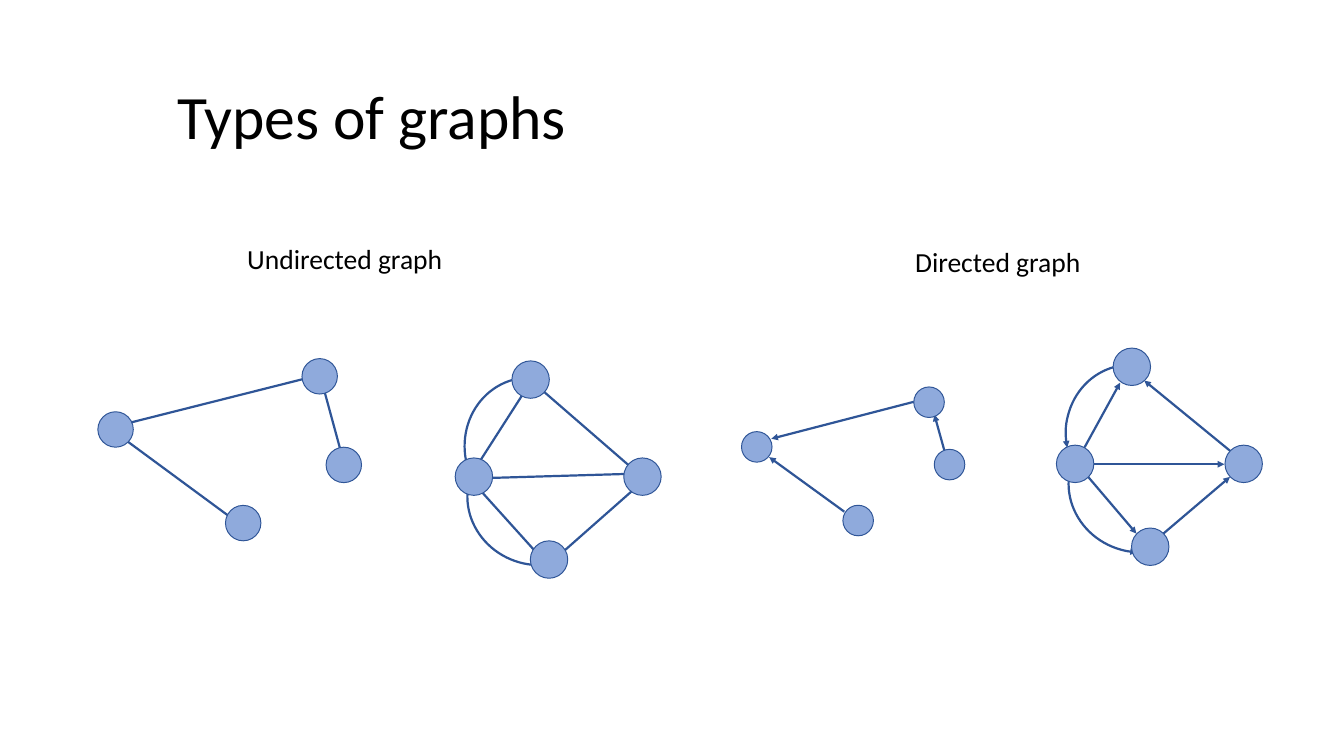
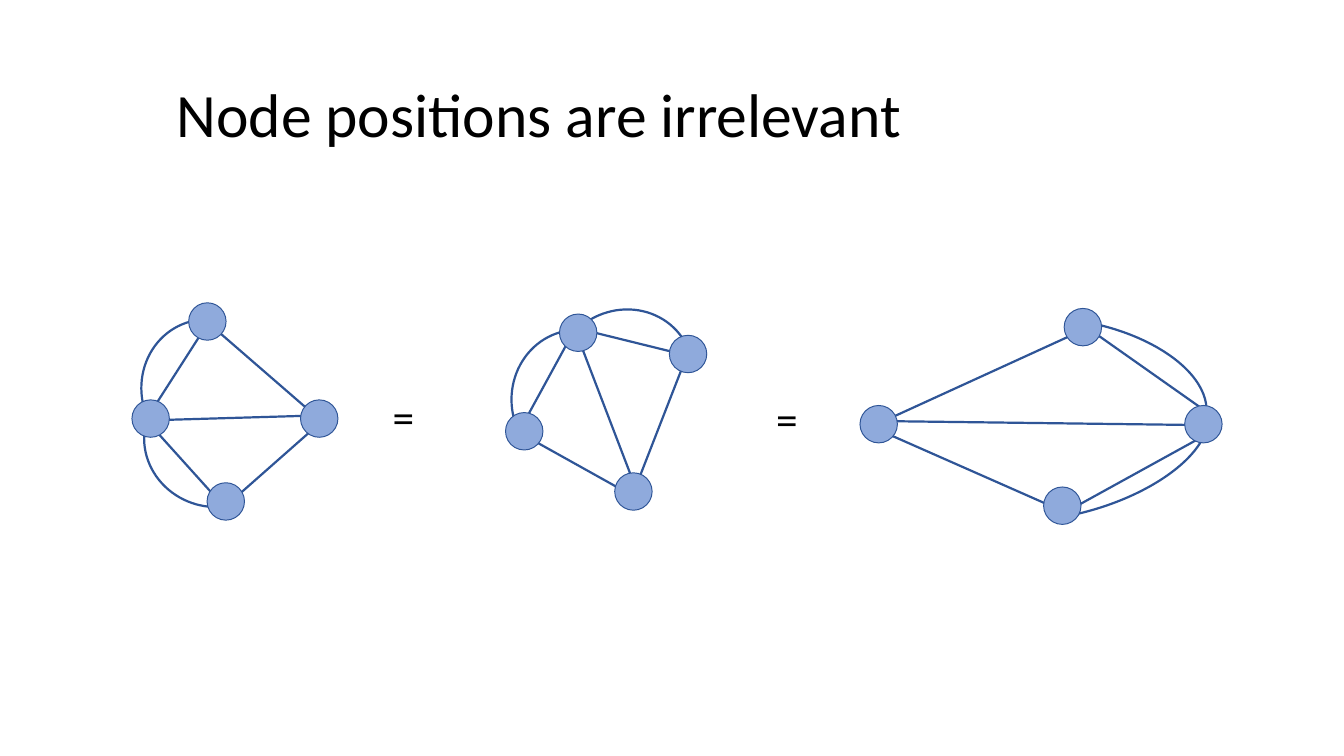
from lxml import etree
from pptx import Presentation
from pptx.dml.color import RGBColor
from pptx.enum.shapes import MSO_CONNECTOR as Connector, MSO_SHAPE as Shape
from pptx.enum.text import MSO_ANCHOR as Anchor
from pptx.oxml.ns import qn
from pptx.util import Pt

BLACK = RGBColor(0x00, 0x00, 0x00)
NODE_BLUE = RGBColor(0x8F, 0xAA, 0xDC)
EDGE_BLUE = RGBColor(0x2F, 0x55, 0x97)
FONT = "Calibri"
NODE_SIZE = 38

# Arc spans (start, end), in units of 1/600 turn of 360 degrees
QUARTER = (162, 0)
LONG_QUARTER = (153.54, 0)
MIRRORED_QUARTER = (108, 162)
MIRRORED_LONG_QUARTER = (108, 170.46)
ARC_SIZE = (142.6, 134.6)

# Kite graph, measured from the centre of its left node
KITE_NODES = [(76.3, 84.2), (0, 0), (171.2, 0), (57.6, -98.6)]
KITE_ARCS = [
    ((58, -29.5), ARC_SIZE, 258.9, QUARTER),
    ((64.4, 22.3), ARC_SIZE, 195.5, LONG_QUARTER),
]
KITE_EDGES = [
    ((57.2, -98.3), (171, 0.4)),
    ((57.2, -95.4), (0.4, -6.8)),
    ((171, -3.2), (0.4, 1.8)),
    ((70.2, 84.6), (4.7, 11.9)),
    ((171, 5.4), (85.3, 81)),
]
KITE_ARROWS = [
    ((70.2, -84.6), (157.3, -13.3)),
    ((45.7, -82.4), (9.7, -16.9)),
    ((151.6, 0.4), (19.1, 0.4)),
    ((62.3, 70.9), (13.3, 13.3)),
    ((157.3, 13.3), (89.6, 70.9)),
]


class GraphDeck:
    """Holds the shared style and the slide being filled."""

    def __init__(self):
        self.deck = Presentation()
        self.deck.slide_width = Pt(1365)
        self.deck.slide_height = Pt(768)
        self.page = None

    def new_page(self, title, left, top, height):
        self.page = self.deck.slides.add_slide(self.deck.slide_layouts[6])
        self.text(title, left, top, 1126, height, 62.6, Anchor.MIDDLE, 0.9)

    def text(self, words, left, top, width, height, size,
             anchor=Anchor.TOP, line_spacing=1.0):
        box = self.page.shapes.add_textbox(Pt(left), Pt(top), Pt(width), Pt(height))
        frame = box.text_frame
        frame.word_wrap = True
        frame.vertical_anchor = anchor
        para = frame.paragraphs[0]
        para.line_spacing = line_spacing
        span = para.add_run()
        span.text = words
        span.font.name = FONT
        span.font.size = Pt(size)
        span.font.color.rgb = BLACK

    def stroke(self, item, arrow):
        item.line.color.rgb = EDGE_BLUE
        item.line.width = Pt(2.25)
        if arrow:
            outline = item.line._get_or_add_ln()
            etree.SubElement(outline, qn("a:headEnd"), type="triangle")

    def edge(self, start, end, arrow):
        points = [Pt(value) for value in (*start, *end)]
        line = self.page.shapes.add_connector(Connector.STRAIGHT, *points)
        self.stroke(line, arrow)
        etree.SubElement(line._element.spPr, qn("a:effectLst"))

    def centred_shape(self, kind, centre, width, height):
        (x, y) = centre
        shape = self.page.shapes.add_shape(
            kind, Pt(x - width / 2), Pt(y - height / 2), Pt(width), Pt(height))
        shape.shadow.inherit = False
        return shape

    def arc(self, centre, size, rotation, span, arrow):
        arc = self.centred_shape(Shape.ARC, centre, *size)
        arc.adjustments[0], arc.adjustments[1] = span
        arc.rotation = rotation
        arc.fill.background()
        self.stroke(arc, arrow)

    def node(self, centre, size):
        node = self.centred_shape(Shape.OVAL, centre, size, size)
        node.fill.solid()
        node.fill.fore_color.rgb = NODE_BLUE
        node.line.color.rgb = EDGE_BLUE
        node.line.width = Pt(1)

    def graph(self, nodes, edges, arcs=(), origin=(0, 0), arrow=False,
              node_size=NODE_SIZE):
        def place(point):
            return point[0] + origin[0], point[1] + origin[1]

        for start, end in edges:
            self.edge(place(start), place(end), arrow)
        for centre, size, rotation, span in arcs:
            self.arc(place(centre), size, rotation, span, arrow)
        for centre in nodes:
            self.node(place(centre), node_size)


def graph_types(deck):
    deck.new_page("Types of graphs", 172.8, 64, 115.2)

    # Undirected graphs
    deck.text("Undirected graph", 244, 246.2, 301.7, 59.8, 28, line_spacing=0.9)
    deck.graph(
        nodes=[(117.4, 436.3), (324.7, 382.3), (247, 531.4), (349.2, 472.3)],
        edges=[
            ((113, 436.3), (247, 535)),
            ((121.7, 432), (319, 382.3)),
            ((325.4, 382.3), (349.9, 472.3)),
        ],
        node_size=36)
    deck.graph(KITE_NODES, KITE_EDGES, KITE_ARCS, origin=(481.3, 484.2))

    # Directed graphs
    deck.graph(KITE_NODES, KITE_ARROWS, KITE_ARCS, origin=(1091.9, 471.2), arrow=True)
    deck.graph(
        nodes=[(768.6, 454), (943.6, 408.6), (871.6, 528.8), (964.4, 472)],
        edges=[
            ((781.2, 464.4), (857.5, 519.8)),
            ((783.4, 445.7), (928.1, 408.2)),
            ((949, 421.2), (959, 457.2)),
        ],
        arrow=True, node_size=31)
    deck.text("Directed graph", 922.3, 245.5, 301.7, 59.8, 28)


def node_positions(deck):
    deck.new_page("Node positions are irrelevant", 172.1, 67.7, 104.4)

    # Kite
    deck.graph(KITE_NODES, KITE_EDGES, KITE_ARCS, origin=(153, 425.2))

    # Turned kite
    deck.graph(
        nodes=[(532.4, 438.1), (587.2, 338), (643.3, 499.3), (698.8, 359.6)],
        edges=[
            ((698.4, 359.3), (643.7, 499.7)),
            ((696.2, 360.7), (594, 335.5)),
            ((646.6, 498.2), (585.4, 338.4)),
            ((530.6, 432), (577.4, 346.3)),
            ((637.9, 501.1), (538.6, 445.7)),
        ],
        arcs=[
            ((633.6, 382.7), ARC_SIZE, 329.6, QUARTER),
            ((586.8, 406.4), ARC_SIZE, 266.2, LONG_QUARTER),
        ])

    # Mirrored and stretched kite
    deck.graph(
        nodes=[(1078.9, 513.7), (1222.2, 430.9), (892.4, 430.9), (1099.8, 332.3)],
        edges=[
            ((1099.4, 335.5), (891.4, 430.6)),
            ((1103.8, 332.6), (1232.6, 423.4)),
            ((891.4, 427.7), (1233.4, 432)),
            ((1092.2, 514.8), (1224, 442.1)),
            ((891.4, 436.3), (1062.7, 511.9)),
        ],
        arcs=[
            ((1092.2, 397.8), (142.6, 270), 101.1, MIRRORED_QUARTER),
            ((1088.6, 454), (285.1, 134.6), 164.5, MIRRORED_LONG_QUARTER),
        ])

    # Equals signs
    for left, top in ((391.7, 392.4), (781.2, 394.6)):
        deck.text("=", left, top, 75.6, 60.5, 44)


def main():
    deck = GraphDeck()
    graph_types(deck)
    node_positions(deck)
    deck.deck.save("out.pptx")


if __name__ == "__main__":
    main()
